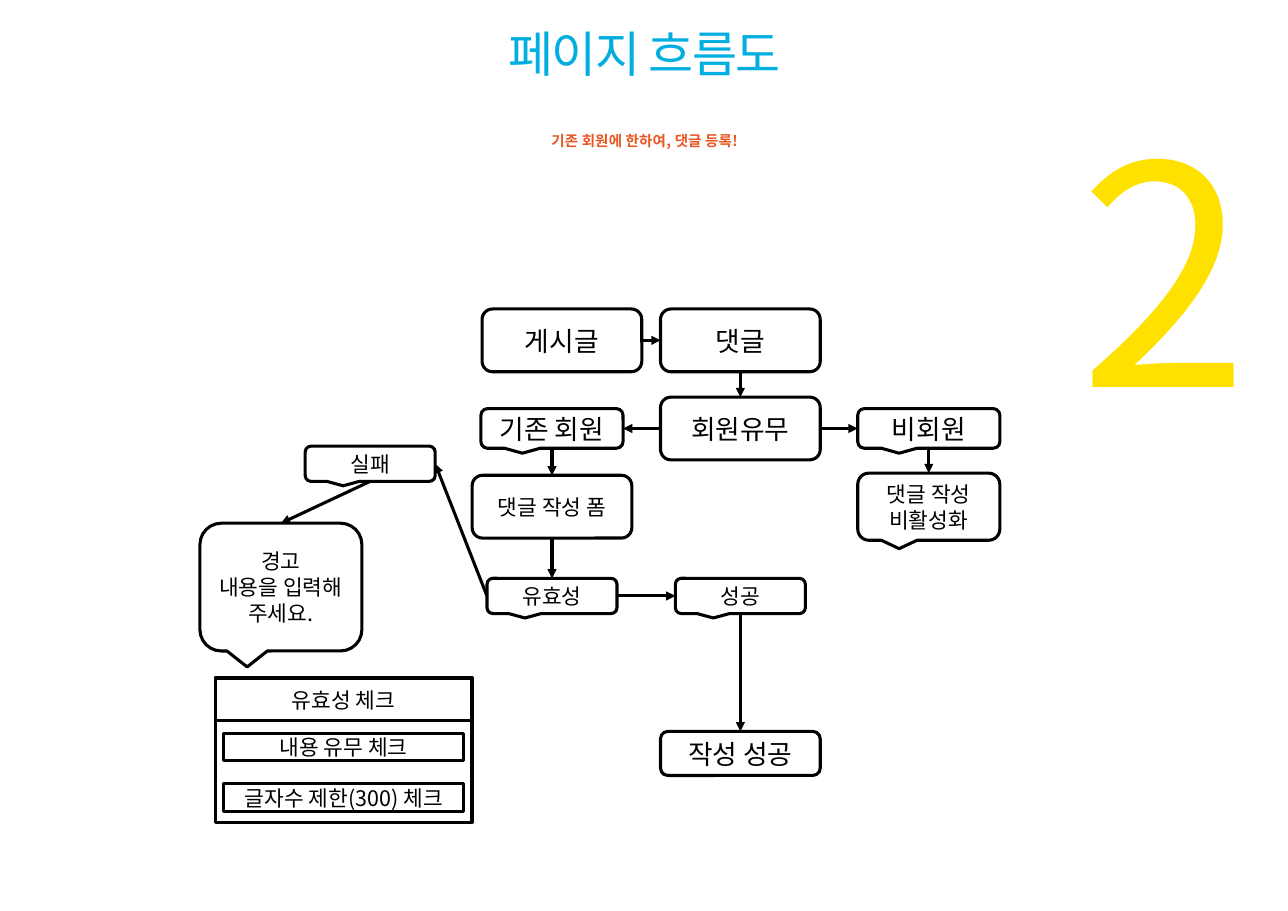
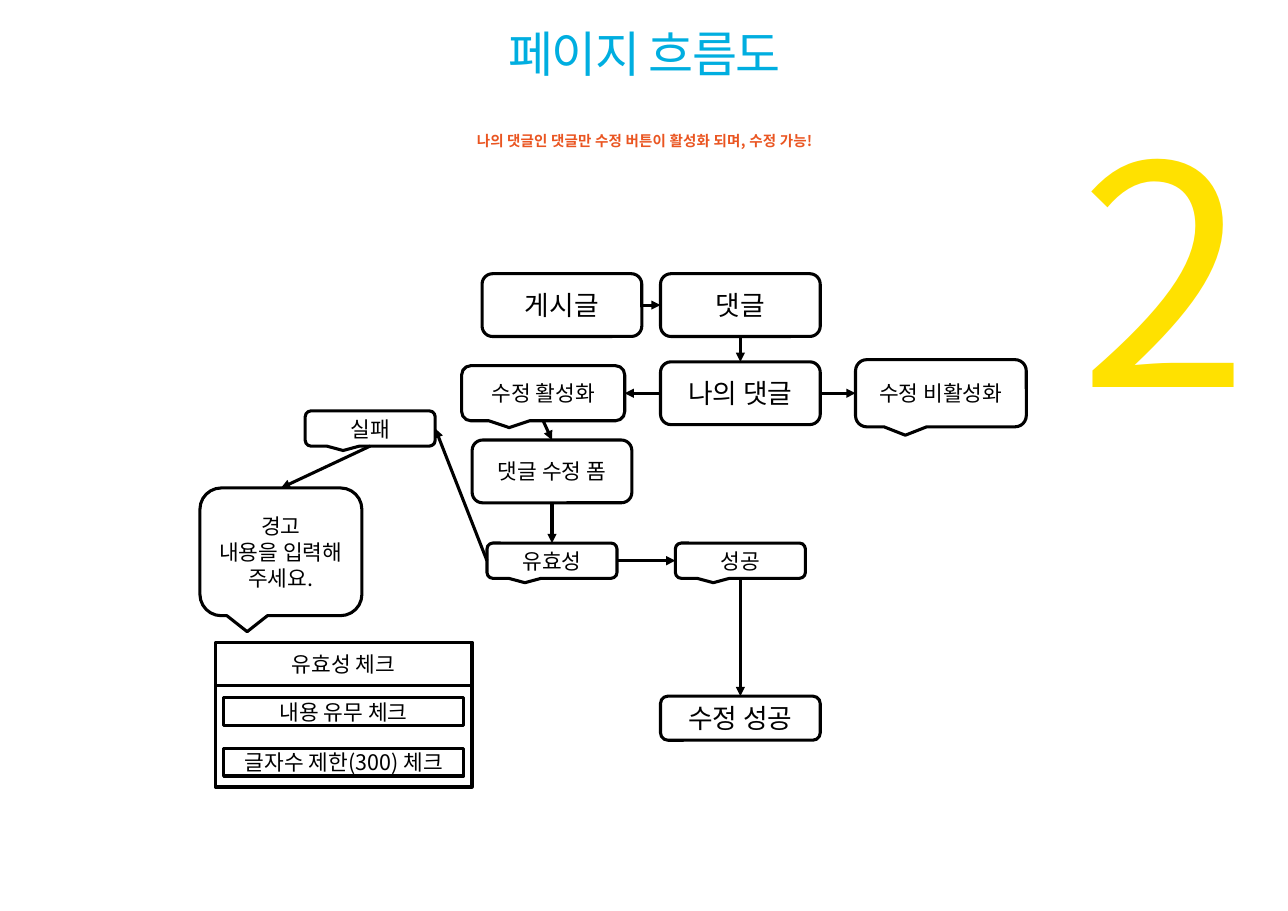
from lxml.etree import SubElement
from pptx import Presentation
from pptx.dml.color import RGBColor
from pptx.enum.shapes import MSO_CONNECTOR, MSO_SHAPE as Preset
from pptx.enum.text import MSO_ANCHOR, PP_ALIGN
from pptx.oxml.ns import qn
from pptx.util import Inches, Pt

WIDTH, HEIGHT = 11.69, 8.27
FONT = "Noto Sans CJK KR"
BLACK = RGBColor(0x00, 0x00, 0x00)
WHITE = RGBColor(0xFF, 0xFF, 0xFF)
BLUE = RGBColor(0x00, 0xAE, 0xE0)
ORANGE = RGBColor(0xEA, 0x55, 0x21)
YELLOW = RGBColor(0xFF, 0xE1, 0x00)
TOP, LEFT, BOTTOM, RIGHT = range(4)

COLUMNS = {"warning": 2.55, "panel": 3.12, "fail": 3.36, "active": 4.93,
           "form": 5.01, "post": 5.1, "comment": 6.72, "guest": 8.43,
           "inactive": 8.54}
ROWS = {"post": 0.29, "member": 1.09, "fail": 1.41, "form": 1.8,
        "warning": 2.53, "check": 2.61, "panel_head": 3.55, "content": 3.98,
        "panel": 4.01, "done": 4.04, "length": 4.44}
KINDS = {
    "step": (Preset.ROUNDED_RECTANGLE, 1.45, 0.57, 17.5),
    "form": (Preset.ROUNDED_RECTANGLE, 1.45, 0.57, 14),
    "done": (Preset.ROUNDED_RECTANGLE, 1.45, 0.4, 17.5),
    "member": (Preset.ROUNDED_RECTANGULAR_CALLOUT, 1.29, 0.36, 17.5),
    "blocked": (Preset.ROUNDED_RECTANGULAR_CALLOUT, 1.29, 0.61, 14),
    "active": (Preset.ROUNDED_RECTANGULAR_CALLOUT, 1.48, 0.5, 14),
    "inactive": (Preset.ROUNDED_RECTANGULAR_CALLOUT, 1.55, 0.61, 14),
    "state": (Preset.ROUNDED_RECTANGULAR_CALLOUT, 1.18, 0.32, 14),
    "warning": (Preset.ROUNDED_RECTANGULAR_CALLOUT, 1.47, 1.16, 14),
    "panel": (Preset.RECTANGLE, 2.33, 1.31, 14),
    "panel_head": (Preset.RECTANGLE, 2.33, 0.39, 14),
    "check": (Preset.RECTANGLE, 2.18, 0.25, 14),
}

SHARED_NODES = {
    "post": ("게시글", "step", "post", "post"),
    "comment": ("댓글", "step", "comment", "post"),
    "validity": ("유효성", "state", "form", "check"),
    "success": ("성공", "state", "comment", "check"),
    "fail": ("실패", "state", "fail", "fail"),
    "warning": ("경고\n내용을 입력해 주세요.", "warning", "warning", "warning"),
    "panel": ("", "panel", "panel", "panel"),
    "panel_head": ("유효성 체크", "panel_head", "panel", "panel_head"),
    "content": ("내용 유무 체크", "check", "panel", "content"),
    "length": ("글자수 제한(300) 체크", "check", "panel", "length"),
}
SHARED_ARROWS = [
    ("post", RIGHT, "comment", LEFT),
    ("comment", BOTTOM, "decision", TOP),
    ("decision", LEFT, "allowed", RIGHT),
    ("decision", RIGHT, "denied", LEFT),
    ("allowed", BOTTOM, "form", TOP),
    ("form", BOTTOM, "validity", TOP),
    ("validity", LEFT, "fail", RIGHT),
    ("fail", BOTTOM, "warning", TOP),
    ("validity", RIGHT, "success", LEFT),
    ("success", BOTTOM, "done", TOP),
]
FLOWS = [
    {
        "message": "기존 회원에 한하여, 댓글 등록!",
        "top": 2.8,
        "nodes": {
            "decision": ("회원유무", "step", "comment", "member"),
            "allowed": ("기존 회원", "member", "form", "member"),
            "denied": ("비회원", "member", "guest", "member"),
            "form": ("댓글 작성 폼", "form", "form", "form"),
            "blocked": ("댓글 작성 비활성화", "blocked", "guest", "form"),
            "done": ("작성 성공", "done", "comment", "done"),
        },
        "arrows": [("denied", BOTTOM, "blocked", TOP)],
    },
    {
        "message": "나의 댓글인 댓글만 수정 버튼이 활성화 되며, 수정 가능!",
        "top": 2.48,
        "nodes": {
            "decision": ("나의 댓글", "step", "comment", "member"),
            "allowed": ("수정 활성화", "active", "active", "member"),
            "denied": ("수정 비활성화", "inactive", "inactive", "member"),
            "form": ("댓글 수정 폼", "form", "form", "form"),
            "done": ("수정 성공", "done", "comment", "done"),
        },
        "arrows": [],
    },
]


def apply(target, values):
    """Set each named format value on the target."""
    for name, value in values.items():
        setattr(target, name, value)


def style_run(run, size, color, bold=False):
    """Give a run its font, size and colour."""
    apply(run.font, {"name": FONT, "size": Pt(size), "bold": bold})
    run.font.color.rgb = color
    SubElement(run.font._element, qn("a:ea"), typeface=FONT)


def add_heading(slide, text, box, size, color, line, spacing,
                align=PP_ALIGN.CENTER, bold=False):
    """Add one line of text with exact leading and letter spacing."""
    frame = slide.shapes.add_textbox(*map(Inches, box)).text_frame
    apply(frame, {"margin_left": 0, "margin_right": 0, "margin_top": 0,
                  "margin_bottom": 0, "word_wrap": True})
    paragraph = frame.paragraphs[0]
    apply(paragraph, {"alignment": align, "line_spacing": Pt(line),
                      "space_before": Pt(0)})
    before = paragraph._p.pPr.find(qn("a:spcBef"))
    before.remove(before[0])
    SubElement(before, qn("a:spcPct"), val="20000")
    run = paragraph.add_run()
    run.text = text
    style_run(run, size, color, bold)
    run.font._element.set("spc", str(spacing))


def add_node(slide, flow_top, text, kind, column, row):
    """Add an outlined flow box centred on a grid column and row."""
    preset, width, height, size = KINDS[kind]
    left = COLUMNS[column] - width / 2
    top = flow_top + ROWS[row] - height / 2
    node = slide.shapes.add_shape(
        preset, *map(Inches, (left, top, width, height)))
    node.shadow.inherit = False
    node.fill.solid()
    node.fill.fore_color.rgb = WHITE
    node.line.color.rgb = BLACK
    node.line.width = Pt(2)
    frame = node.text_frame
    apply(frame, {"text": text, "word_wrap": True,
                  "vertical_anchor": MSO_ANCHOR.MIDDLE})
    for paragraph in frame.paragraphs:
        paragraph.alignment = PP_ALIGN.CENTER
        for run in paragraph.runs:
            style_run(run, size, BLACK)
    return node


def add_arrow(slide, start, start_side, end, end_side):
    """Join two flow boxes with a straight arrow."""
    arrow = slide.shapes.add_connector(MSO_CONNECTOR.STRAIGHT, 0, 0, 0, 0)
    arrow.begin_connect(start, start_side)
    arrow.end_connect(end, end_side)
    arrow.line.color.rgb = BLACK
    arrow.line.width = Pt(2)
    SubElement(arrow.line._get_or_add_ln(), qn("a:tailEnd"), type="triangle")
    SubElement(arrow._element.spPr, qn("a:effectLst"))


def add_headings(slide, message):
    """Add the message, the page title and the section number."""
    left, width = 2.21, 7.28
    add_heading(slide, message, (left, 1.16, width, 0.79), 9.5, ORANGE, 14, 10,
                bold=True)
    add_heading(slide, "페이지 흐름도", (left, 0.33, width, 0.82), 32, BLUE,
                30, -100)
    add_heading(slide, "2", (9.8, 1.3, 1.46, 2.76), 200, YELLOW, 200, -100,
                align=PP_ALIGN.LEFT)


def add_flow(slide, flow):
    """Add every box of a flow and the arrows between them."""
    nodes = {name: add_node(slide, flow["top"], *node)
             for name, node in (SHARED_NODES | flow["nodes"]).items()}
    for start, start_side, end, end_side in SHARED_ARROWS + flow["arrows"]:
        add_arrow(slide, nodes[start], start_side, nodes[end], end_side)


def main():
    """Build the page flow slides and save them."""
    deck = Presentation()
    apply(deck, {"slide_width": Inches(WIDTH), "slide_height": Inches(HEIGHT)})
    for flow in FLOWS:
        slide = deck.slides.add_slide(deck.slide_layouts[6])
        add_headings(slide, flow["message"])
        add_flow(slide, flow)
    deck.save("out.pptx")


if __name__ == "__main__":
    main()
